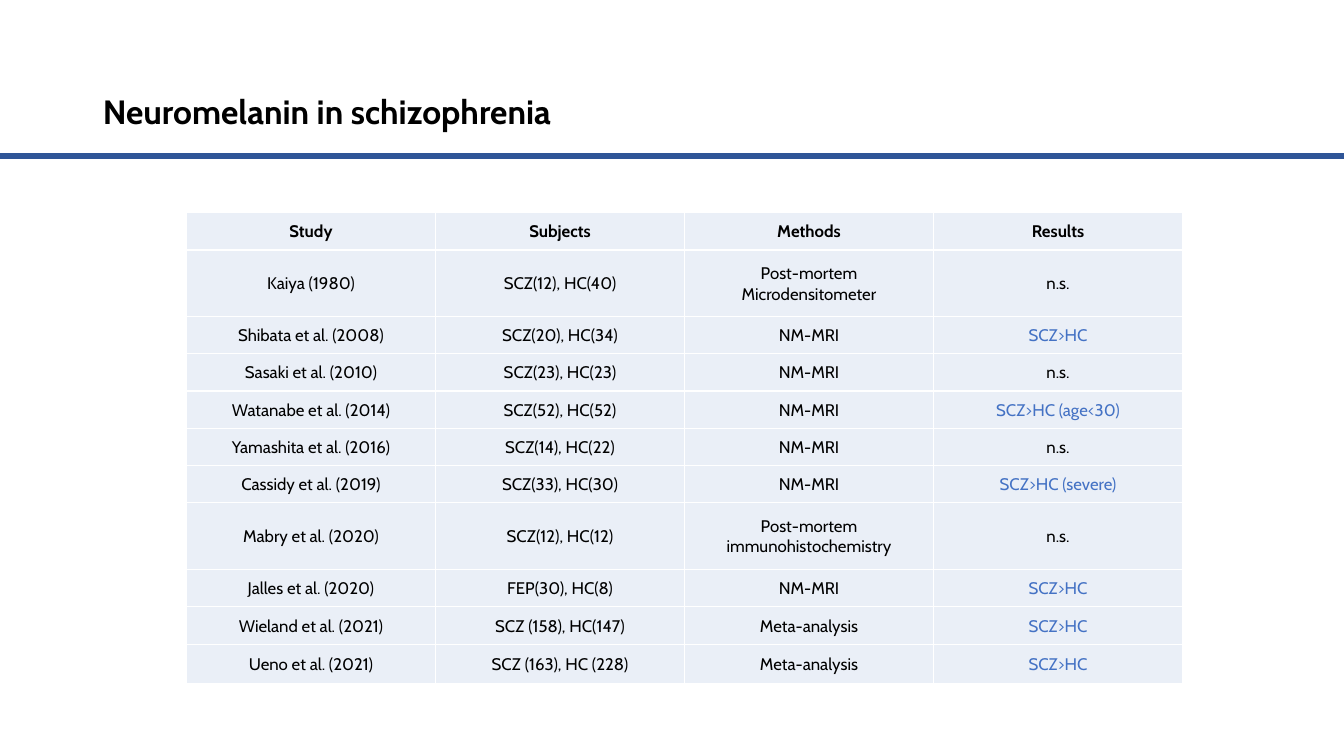
from lxml.etree import SubElement
from pptx import Presentation
from pptx.dml.color import RGBColor
from pptx.enum.shapes import MSO_SHAPE
from pptx.enum.text import MSO_ANCHOR, MSO_AUTO_SIZE, PP_ALIGN
from pptx.oxml.ns import qn
from pptx.util import Inches, Pt

COLORS = {
    "text": "000000",
    "rule": "2F5597",
    "cell": "EAEFF7",
    "border": "FFFFFF",
    "positive": "4472C4",
}
FONT = "Cabin"
ROW_HEIGHTS = [0.37, 0.66, 0.37, 0.37, 0.37, 0.37, 0.37, 0.66, 0.37, 0.38, 0.38]
STUDIES = [
    ("Study", "Subjects", "Methods", "Results"),
    ("Kaiya (1980)", "SCZ(12), HC(40)", "Post-mortem\nMicrodensitometer", "n.s."),
    ("Shibata et al. (2008)", "SCZ(20), HC(34)", "NM-MRI", "SCZ>HC"),
    ("Sasaki et al. (2010)", "SCZ(23), HC(23)", "NM-MRI", "n.s."),
    ("Watanabe et al. (2014)", "SCZ(52), HC(52)", "NM-MRI", "SCZ>HC (age<30)"),
    ("Yamashita et al. (2016)", "SCZ(14), HC(22)", "NM-MRI", "n.s."),
    ("Cassidy et al. (2019)", "SCZ(33), HC(30)", "NM-MRI", "SCZ>HC (severe)"),
    ("Mabry et al. (2020)", "SCZ(12), HC(12)", "Post-mortem\nimmunohistochemistry", "n.s."),
    ("Jalles et al. (2020)", "FEP(30), HC(8)", "NM-MRI", "SCZ>HC"),
    ("Wieland et al. (2021)", "SCZ (158), HC(147)", "Meta-analysis", "SCZ>HC"),
    ("Ueno et al. (2021)", "SCZ (163), HC (228)", "Meta-analysis", "SCZ>HC"),
]


def color(name):
    """Return the named palette colour."""
    return RGBColor.from_string(COLORS[name])


def format_paragraph(paragraph, size, bold, color_name, alignment):
    """Set the font and alignment of a paragraph."""
    paragraph.alignment = alignment
    paragraph.font.name = FONT
    paragraph.font.size = Pt(size)
    paragraph.font.bold = bold
    paragraph.font.color.rgb = color(color_name)


def add_rule(slide, left, top, width, height):
    """Draw the coloured band under the title."""
    rule = slide.shapes.add_shape(
        MSO_SHAPE.RECTANGLE, Inches(left), Inches(top), Inches(width), Inches(height)
    )
    rule.shadow.inherit = False
    rule.fill.solid()
    rule.fill.fore_color.rgb = color("rule")
    rule.line.color.rgb = color("rule")
    rule.line.width = Pt(1)


def place_title(slide, text, left, top, width, height):
    """Move, fill and format the title placeholder."""
    title = slide.shapes.title
    title.left, title.top = Inches(left), Inches(top)
    title.width, title.height = Inches(width), Inches(height)
    frame = title.text_frame
    frame.text = text
    frame.word_wrap = True
    frame.auto_size = MSO_AUTO_SIZE.NONE
    frame.vertical_anchor = MSO_ANCHOR.MIDDLE
    paragraph = frame.paragraphs[0]
    paragraph.line_spacing = 0.9
    format_paragraph(paragraph, 24, True, "text", PP_ALIGN.LEFT)


def set_borders(cell):
    """Give all four sides of a cell a thin line."""
    properties = cell._tc.get_or_add_tcPr()
    for position, side in enumerate(("a:lnL", "a:lnR", "a:lnT", "a:lnB")):
        line = SubElement(properties, qn(side), w=str(Pt(1)))
        fill = SubElement(line, qn("a:solidFill"))
        SubElement(fill, qn("a:srgbClr"), val=COLORS["border"])
        properties.insert(position, line)


def fill_cell(cell, text, bold, color_name):
    """Write and format one table cell."""
    cell.text = text
    cell.vertical_anchor = MSO_ANCHOR.MIDDLE
    cell.margin_left = cell.margin_right = cell.margin_top = Inches(0.01)
    cell.margin_bottom = 0
    cell.fill.solid()
    cell.fill.fore_color.rgb = color("cell")
    set_borders(cell)
    for paragraph in cell.text_frame.paragraphs:
        format_paragraph(paragraph, 12, bold, color_name, PP_ALIGN.CENTER)


def add_study_table(slide, left, top, width, height):
    """Add the table of studies, with positive findings highlighted."""
    table = slide.shapes.add_table(
        len(STUDIES), len(STUDIES[0]),
        Inches(left), Inches(top), Inches(width), Inches(height),
    ).table
    table.horz_banding = False
    for row, row_height in zip(table.rows, ROW_HEIGHTS):
        row.height = Inches(row_height)
    for row_index, study in enumerate(STUDIES):
        for column_index, text in enumerate(study):
            color_name = "positive" if text.startswith("SCZ>HC") else "text"
            fill_cell(table.cell(row_index, column_index), text, row_index == 0, color_name)


def main():
    """Build the slide and save the presentation."""
    presentation = Presentation()
    presentation.slide_width = Inches(13.33)
    presentation.slide_height = Inches(7.5)
    slide = presentation.slides.add_slide(presentation.slide_layouts[5])
    add_rule(slide, 0, 1.52, 13.33, 0.05)
    place_title(slide, "Neuromelanin in schizophrenia", 0.92, 0.4, 11.5, 1.45)
    add_study_table(slide, 1.85, 2.11, 9.88, sum(ROW_HEIGHTS))
    presentation.save("out.pptx")


if __name__ == "__main__":
    main()
